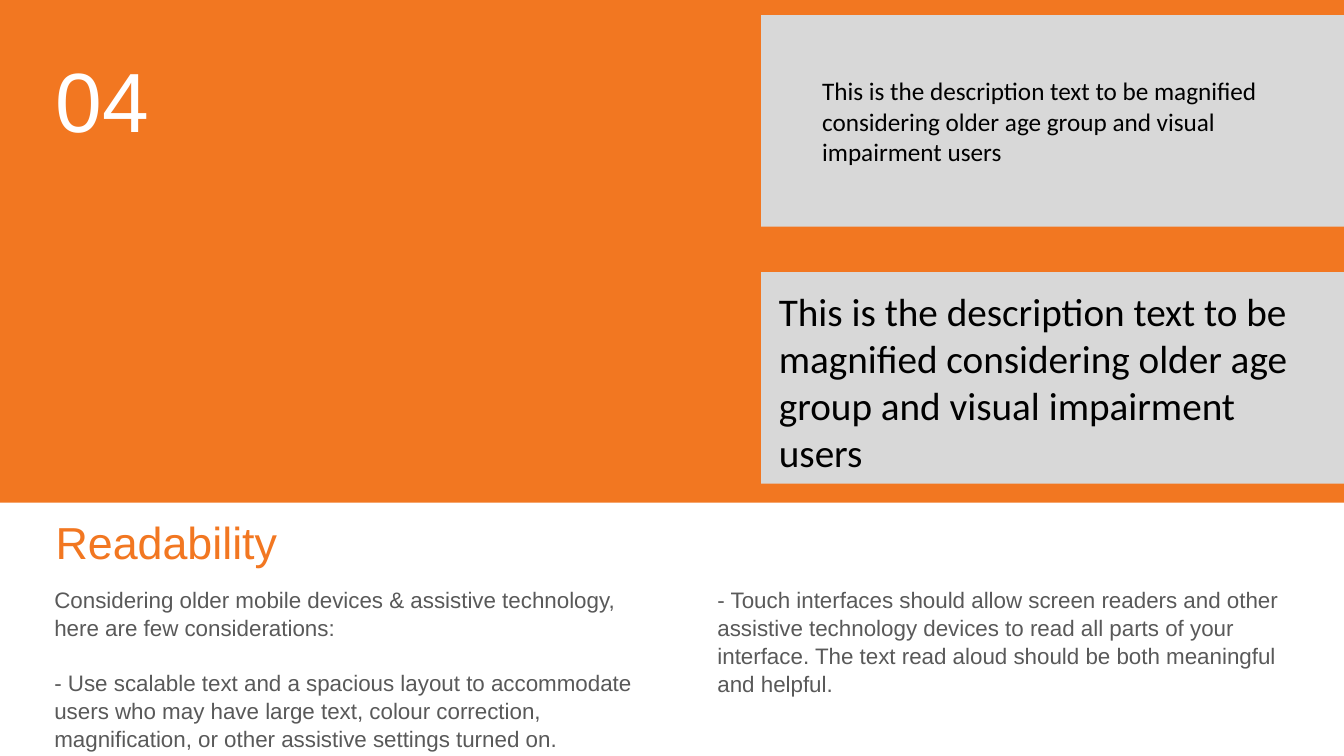
from pptx import Presentation
from pptx.dml.color import RGBColor
from pptx.enum import shapes
from pptx.util import Cm, Pt

ORANGE = RGBColor(0xF2, 0x77, 0x21)
GREY = RGBColor(0xD8, 0xD8, 0xD8)
BODY = RGBColor(0x59, 0x59, 0x59)
WHITE = RGBColor(0xFF, 0xFF, 0xFF)
BLACK = RGBColor(0, 0, 0)

SLIDE_W, SLIDE_H = 33.87, 19.05
BAND_H = 12.67
MARGIN = 1.37

SAMPLE = ("This is the description text to be magnified considering "
          "older age group and visual impairment users")
CONSIDERATIONS = [
    "Considering older mobile devices & assistive technology, "
    "here are few considerations:",
    "- Use scalable text and a spacious layout to accommodate users who may "
    "have large text, colour correction, magnification, or other assistive "
    "settings turned on.",
]
TOUCH = ["- Touch interfaces should allow screen readers and other assistive "
         "technology devices to read all parts of your interface. The text "
         "read aloud should be both meaningful and helpful."]


def add_rect(slide, box, color):
    sp = slide.shapes.add_shape(shapes.MSO_SHAPE.RECTANGLE, *map(Cm, box))
    sp.shadow.inherit = False
    sp.fill.solid()
    sp.fill.fore_color.rgb = color
    sp.line.fill.background()


def add_text(slide, box, paragraphs, size, color, font="Arial",
             spacing=1.05, inset=(0, 0), gap=0):
    tf = slide.shapes.add_textbox(*map(Cm, box)).text_frame
    tf.word_wrap = True
    tf.margin_left = tf.margin_right = Cm(inset[0])
    tf.margin_top = tf.margin_bottom = Cm(inset[1])
    for i, line in enumerate(paragraphs):
        p = tf.add_paragraph() if i else tf.paragraphs[0]
        p.text = line
        p.line_spacing = spacing
        p.space_before = Pt(gap if i else 0)
        p.font.name = font
        p.font.size = Pt(size)
        p.font.color.rgb = color


def add_sample_panel(slide, box, text_box, size):
    """Grey panel with sample text; text_box is relative to the panel."""
    left, top, _, _ = box
    dx, dy, width, height = text_box
    add_rect(slide, box, GREY)
    add_text(slide, (left + dx, top + dy, width, height), [SAMPLE], size,
             BLACK, font="Calibri", spacing=1.0, inset=(0.25, 0.13))


def add_band(slide, box):
    left, top, width, height = box
    add_rect(slide, box, ORANGE)
    add_text(slide, (left + MARGIN + 0.03, top + 1.09, 4.78, 2.57),
             ["04"], 60, WHITE)
    # Small and magnified versions of the same text
    panel_left, panel_h, pitch = 19.18, 5.33, 6.48
    samples = [((1.29, 1.4, 11.58, 2.57), 18), ((0.2, 0.25, 13.51, 5.05), 28)]
    for i, (text_box, size) in enumerate(samples):
        panel = (left + panel_left, top + 0.38 + i * pitch,
                 width - panel_left, panel_h)
        add_sample_panel(slide, panel, text_box, size)


def add_notes_area(slide, box):
    left, top, _, _ = box
    add_text(slide, (left + MARGIN + 0.03, top + 0.23, 18.64, 1.37),
             ["Readability"], 32, ORANGE)
    # Two columns of body text
    body_top = top + 2.06
    add_text(slide, (left + MARGIN, body_top, 14.78, 4.11),
             CONSIDERATIONS, 16, BODY, gap=19.3)
    add_text(slide, (left + 18.08, body_top, 14.43, 2.74), TOUCH, 16, BODY)


def main():
    prs = Presentation()
    prs.slide_width, prs.slide_height = Cm(SLIDE_W), Cm(SLIDE_H)
    slide = prs.slides.add_slide(prs.slide_layouts[6])
    add_band(slide, (0, 0, SLIDE_W, BAND_H))
    add_notes_area(slide, (0, BAND_H, SLIDE_W, SLIDE_H - BAND_H))
    prs.save("out.pptx")


if __name__ == "__main__":
    main()
